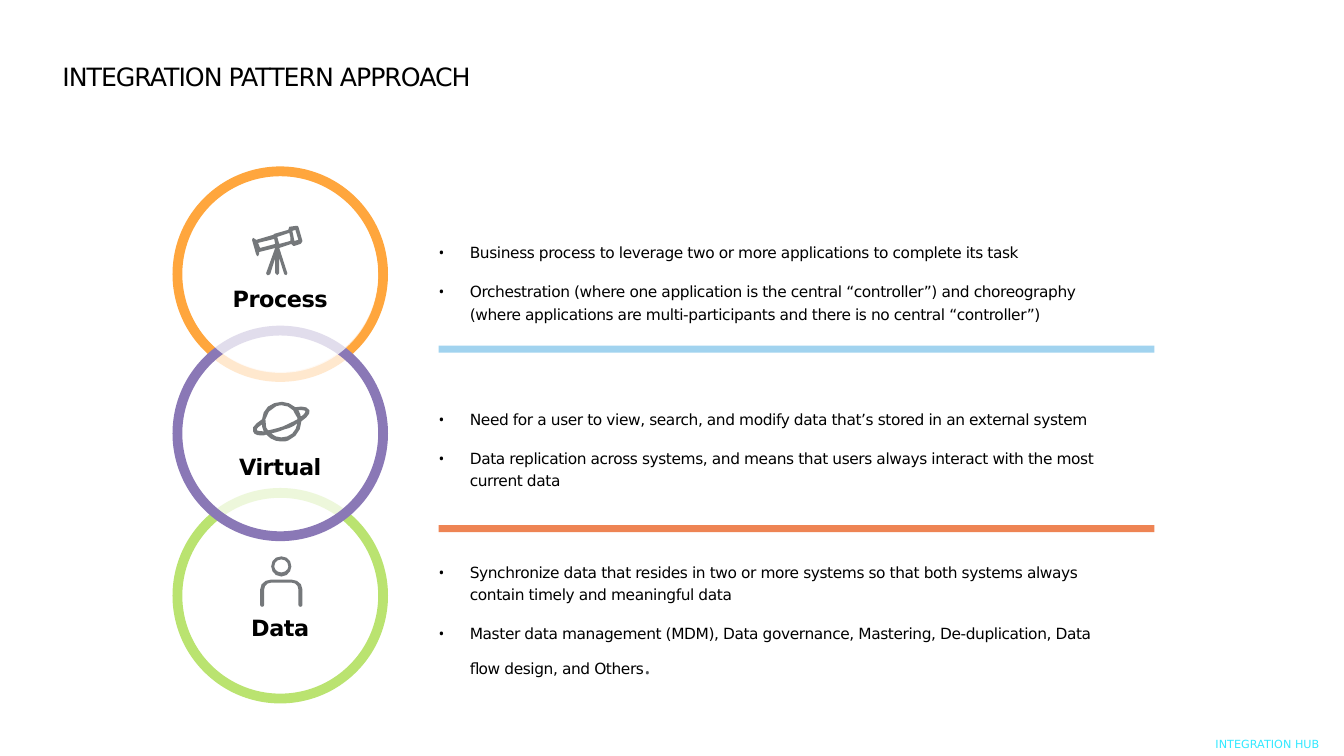
import dataclasses

import lxml.etree
import pptx
import pptx.dml.color
import pptx.enum.shapes
import pptx.enum.text
import pptx.oxml.ns
import pptx.util

CELL = pptx.util.Inches(0.1)
FINE = 10
STEPS = 3
ALIGN = pptx.enum.text.PP_ALIGN
ANCHOR = pptx.enum.text.MSO_ANCHOR
KIND = pptx.enum.shapes.MSO_SHAPE


@dataclasses.dataclass(frozen=True)
class Theme:
    """Colours, fonts and type sizes of the slide."""
    ink: str = "000000"
    paper: str = "FFFFFF"
    icon: str = "75787B"
    dot: str = "53565A"
    foot: str = "32E9FF"
    orange: str = "FFA63D"
    purple: str = "8A78B6"
    green: str = "BAE370"
    blue: str = "A1D3EF"
    coral: str = "EE8454"
    font: str = "DejaVu Sans"
    other: str = "Open Sans"
    head: int = 18
    label: int = 16
    body: int = 11
    small: int = 8
    ring: int = 7


LOOK = Theme()

SCOPE = [
    [(50, 16), (46, 2), (45, 1), (44, 1), (37, 2), (36, 5), (22, 9), (21, 10), (4, 15),
     (3, 14), (1, 13), (0, 15), (4, 29), (5, 31), (6, 31), (7, 29), (7, 27), (23, 23),
     (14, 48), (15, 50), (16, 50), (18, 49), (23, 33), (23, 48), (25, 50), (27, 48),
     (27, 33), (32, 49), (34, 50), (35, 48), (27, 23), (39, 19), (41, 21), (42, 21),
     (48, 19), (49, 18)],
    [(6, 18), (22, 14), (23, 19), (8, 23)],
    [(27, 19), (25, 12), (37, 8), (38, 12), (38, 16)],
    [(42, 16), (40, 6), (43, 5), (46, 15)],
]
PLANET = [
    [(58, 10), (56, 6, 50, 6, 44, 7), (38, 2, 31, 0, 23, 3), (16, 5, 11, 12, 11, 19),
     (5, 23, 0, 27, 2, 31), (3, 34, 6, 35, 10, 35), (12, 35, 14, 35, 15, 34),
     (19, 39, 25, 41, 30, 41), (33, 41, 35, 41, 37, 40), (45, 37, 50, 29, 50, 21),
     (56, 17, 59, 13, 58, 10)],
    [(25, 6), (26, 6, 28, 5, 30, 5), (37, 5, 43, 9, 45, 16), (46, 16, 46, 18, 46, 19),
     (43, 21, 38, 23, 32, 26), (26, 28, 21, 29, 17, 30), (16, 29, 16, 28, 15, 27),
     (12, 19, 16, 10, 25, 6)],
    [(6, 30), (5, 29, 6, 27, 11, 24), (11, 26, 11, 27, 12, 29), (12, 29, 12, 30, 13, 31),
     (8, 31, 6, 30, 6, 30)],
    [(36, 36), (30, 38, 24, 37, 20, 33), (24, 32, 29, 31, 33, 29),
     (38, 28, 42, 26, 46, 23), (45, 29, 42, 34, 36, 36)],
    [(50, 16), (49, 16, 49, 15, 49, 14), (48, 13, 48, 11, 47, 10),
     (52, 10, 54, 10, 54, 11), (54, 12, 53, 14, 50, 16)],
]
PERSON = [
    [(40, 50), (39, 50, 38, 49, 38, 48), (38, 33), (38, 29, 35, 26, 31, 26), (11, 26),
     (7, 26, 4, 29, 4, 33), (4, 48), (4, 49, 3, 50, 2, 50), (1, 50, 0, 49, 0, 48),
     (0, 33), (0, 27, 5, 23, 11, 23), (31, 23), (37, 23, 42, 27, 42, 33), (42, 48),
     (42, 49, 41, 50, 40, 50)],
    [(31, 10), (31, 4, 27, 0, 21, 0), (15, 0, 11, 4, 11, 10), (11, 15, 15, 20, 21, 20),
     (27, 20, 31, 15, 31, 10)],
    [(28, 10), (28, 13, 25, 16, 21, 16), (17, 16, 14, 13, 14, 10), (14, 6, 17, 3, 21, 3),
     (25, 3, 28, 6, 28, 10)],
]


def grid(*cells):
    """Turn counts of grid cells into lengths."""
    return [round(cell * CELL) for cell in cells]


def tint(code):
    """Give the colour for a hex code."""
    return pptx.dml.color.RGBColor.from_string(code)


def node(host, tag, **attrs):
    """Append a drawing element with its attributes."""
    return lxml.etree.SubElement(host, pptx.oxml.ns.qn(tag), attrs)


def paint(shape, fill=None, line=None, alpha=None):
    """Set the fill, line and clearness of a shape."""
    shape.shadow.inherit = False
    if fill:
        shape.fill.solid()
        shape.fill.fore_color.rgb = tint(fill)
        if alpha:
            color = next(shape._element.spPr.iter(pptx.oxml.ns.qn("a:srgbClr")))
            node(color, "a:alpha", val=str(alpha * 1000))
    else:
        shape.fill.background()
    if line:
        shape.line.color.rgb = tint(line)
        shape.line.width = pptx.util.Pt(LOOK.ring)
    else:
        shape.line.fill.background()


def block(slide, kind, box, **style):
    """Add a preset shape."""
    paint(slide.shapes.add_shape(kind, *grid(*box)), **style)


def trace(parts):
    """Flatten lines and cubic curves into fine points."""
    dots = [parts[0]]
    for part in parts[1:]:
        if len(part) == 2:
            dots.append(part)
            continue
        ends = [dots[-1], part[:2], part[2:4], part[4:]]
        for step in range(1, STEPS + 1):
            t = step / STEPS
            mix = ((1 - t) ** 3, 3 * t * (1 - t) ** 2, 3 * t * t * (1 - t), t ** 3)
            dots.append(tuple(sum(m * end[axis] for m, end in zip(mix, ends))
                              for axis in (0, 1)))
    return [(x * FINE, y * FINE) for x, y in dots]


def icon(slide, left, top, loops):
    """Draw an icon from closed loops, the later ones cutting holes."""
    first, *rest = [trace(loop) for loop in loops]
    pen = slide.shapes.build_freeform(*first[0], scale=CELL / (10 * FINE))
    pen.add_line_segments(first[1:], close=True)
    for loop in rest:
        pen.move_to(*loop[0])
        pen.add_line_segments(loop[1:], close=True)
    paint(pen.convert_to_shape(*grid(left, top)), fill=LOOK.icon)


def write(para, text, size=LOOK.body, color=LOOK.ink, font=LOOK.font, bold=False, track=0):
    """Add a run of text with its format."""
    run = para.add_run()
    run.text = text
    run.font.size = pptx.util.Pt(size)
    run.font.name = font
    run.font.bold = bold
    run.font.color.rgb = tint(color)
    if track:
        run._r.get_or_add_rPr().set("spc", str(track))


def frame(slide, box, anchor=ANCHOR.TOP, inset=0):
    """Add a wrapping text box and give its text frame."""
    body = slide.shapes.add_textbox(*grid(*box)).text_frame
    body.word_wrap = True
    body.vertical_anchor = anchor
    body.margin_left = body.margin_right = body.margin_bottom = 0
    body.margin_top = grid(inset)[0]
    return body


def label(slide, box, text, align=None, space=None, before=None, anchor=ANCHOR.TOP,
          inset=0, **style):
    """Add a text box of one paragraph."""
    para = frame(slide, box, anchor, inset).paragraphs[0]
    para.alignment = align
    para.line_spacing = space
    para.space_before = before
    write(para, text, **style)


def points(slide, box, items):
    """Add a bulleted list and give its last paragraph."""
    body = frame(slide, box)
    for rank, item in enumerate(items):
        para = body.add_paragraph() if rank else body.paragraphs[0]
        para.line_spacing = 1.2
        para.space_before = pptx.util.Pt(12)
        props = para._p.get_or_add_pPr()
        dent = grid(3.1)[0]
        props.set("marL", str(dent))
        props.set("indent", str(-dent))
        node(node(props, "a:buClr"), "a:srgbClr", val=LOOK.ink)
        node(props, "a:buFont", typeface=LOOK.other)
        node(props, "a:buChar", char="•")
        write(para, item, track=-30)
    return para


def main():
    """Build the slide and save it."""
    deck = pptx.Presentation()
    deck.slide_width = pptx.util.Inches(13.33)
    deck.slide_height = pptx.util.Inches(7.5)
    slide = deck.slides.add_slide(deck.slide_layouts[6])

    label(slide, (6.2, 2.6, 113.3, 6.5), "INTEGRATION PATTERN APPROACH", space=0.9,
          anchor=ANCHOR.BOTTOM, inset=0.5, size=LOOK.head, track=-75)

    veil = dict(fill=LOOK.paper, alpha=75)
    for left, top, size, style in (
            (17.6, 17, 20.4, dict(line=LOOK.orange)),
            (18.2, 49.4, 19.3, veil),
            (17.6, 48.9, 20.4, dict(line=LOOK.green)),
            (17.6, 32.7, 20.4, veil),
            (17.6, 32.8, 20.4, dict(line=LOOK.purple)),
            (18.2, 17.7, 19.3, veil)):
        block(slide, KIND.OVAL, (left, top, size, size), **style)

    for name, row, spot, loops, area, items in (
            ("Process", 28.25, (25, 22.3), SCOPE, (23.8, 65.8, 7.1), (
                "Business process to leverage two or more applications to complete its task",
                "Orchestration (where one application is the central “controller”) and "
                "choreography (where applications are multi-participants and there is no "
                "central “controller”)")),
            ("Virtual", 44.95, (24.9, 39.7), PLANET, (40.3, 65.8, 7.1), (
                "Need for a user to view, search, and modify data that’s stored in an "
                "external system",
                "Data replication across systems, and means that users always interact "
                "with the most current data")),
            ("Data", 60.95, (25.8, 55.2), PERSON, (55.5, 67.9, 10.9), (
                "Synchronize data that resides in two or more systems so that both systems "
                "always contain timely and meaningful data",
                "Master data management (MDM), Data governance, Mastering, De-duplication, "
                "Data flow design, and Others"))):
        label(slide, (21.6, row, 12.4, 4.6), name, align=ALIGN.CENTER,
              size=LOOK.label, bold=True, track=-30)
        icon(slide, *spot, loops)
        last = points(slide, (43.5, *area), items)
    write(last, ".", size=LOOK.head, color=LOOK.dot, font=LOOK.other, track=-30)

    for row, color in ((34.3, LOOK.blue), (52.1, LOOK.coral)):
        block(slide, KIND.RECTANGLE, (43.5, row, 71, 0.7), fill=color)

    label(slide, (120.55, 73.3, 12.8, 1.7), "INTEGRATION HUB", space=0.9,
          before=pptx.util.Pt(10), size=LOOK.small, color=LOOK.foot)
    deck.save("out.pptx")


if __name__ == "__main__":
    main()
